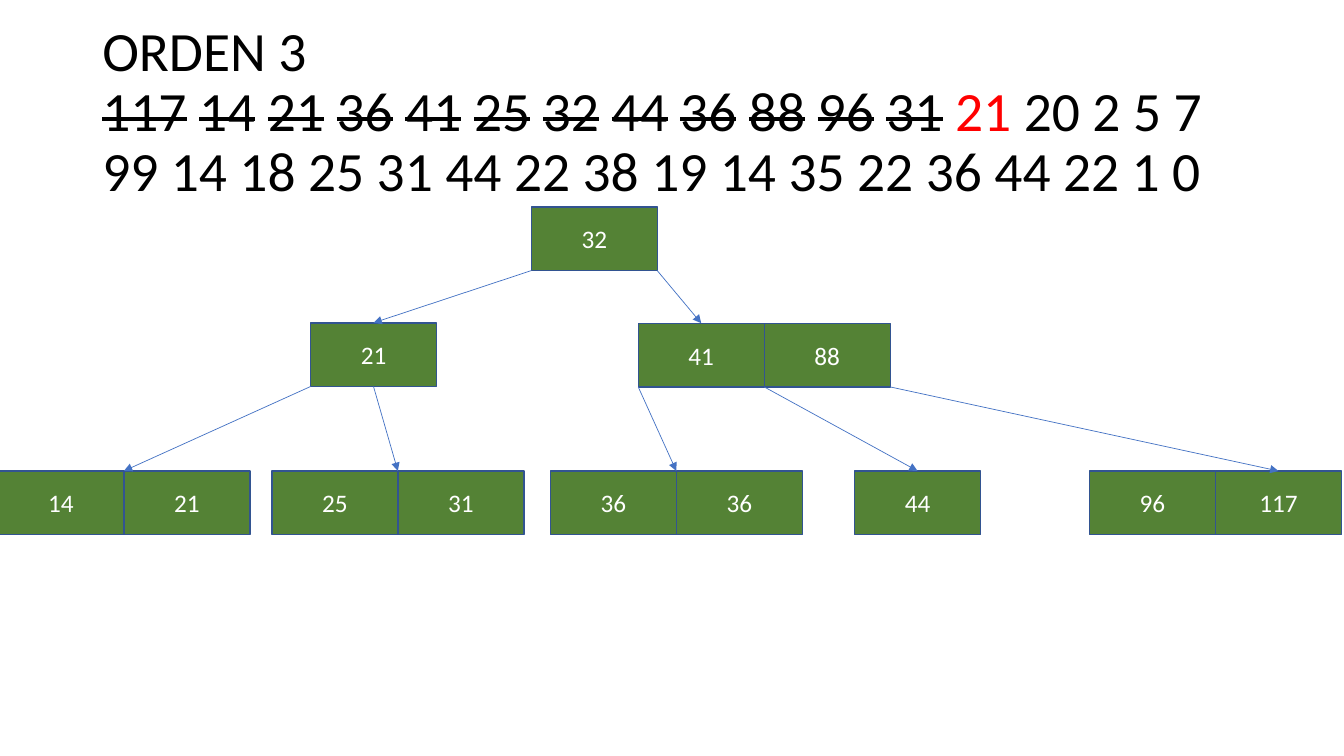
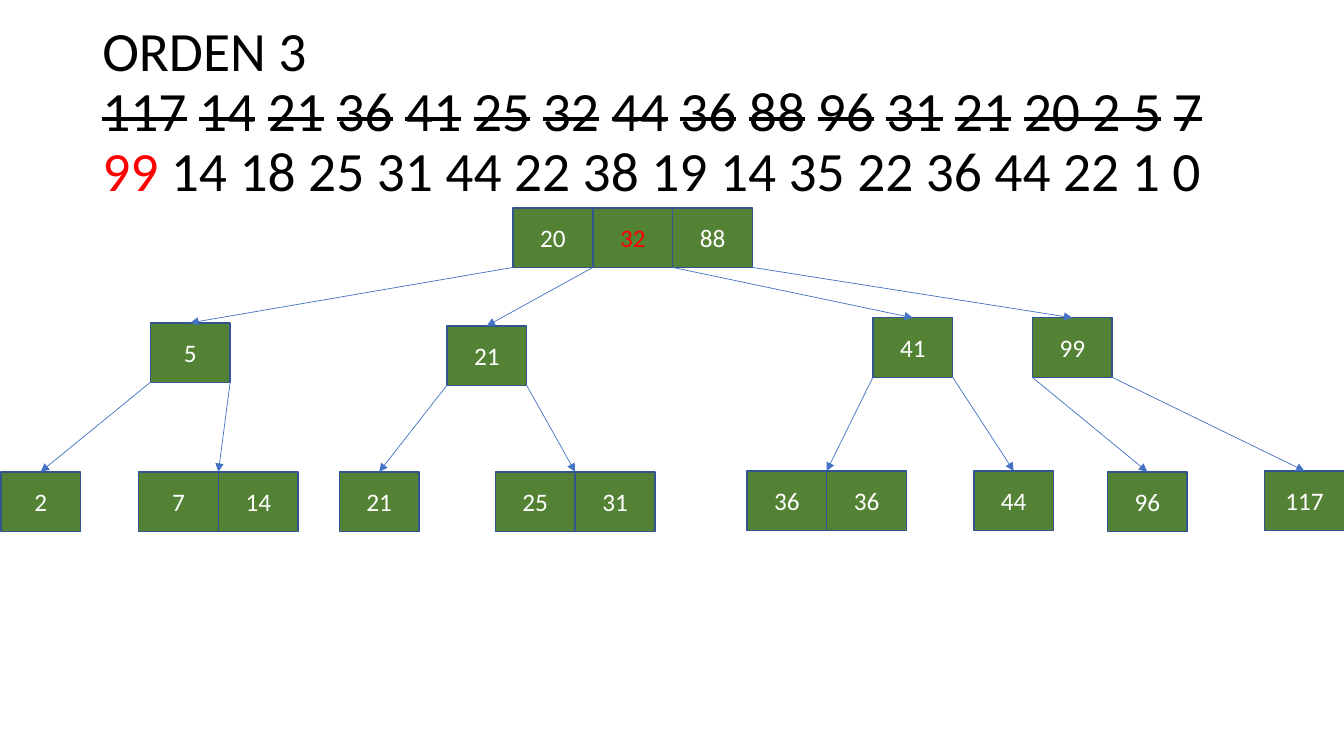
"""Builds two slides that show keys being inserted into a B-tree of order 3."""
from dataclasses import dataclass
from typing import Optional

from lxml.etree import SubElement
from pptx import Presentation
from pptx.dml.color import RGBColor
from pptx.enum.shapes import MSO_CONNECTOR, MSO_SHAPE
from pptx.enum.text import MSO_ANCHOR, PP_ALIGN
from pptx.oxml.ns import qn
from pptx.util import Pt

FONT = "Calibri"
BLACK, RED, WHITE = "000000", "FF0000", "FFFFFF"
GREEN, BORDER, ARROW = "548235", "325491", "4472C4"


@dataclass
class Node:
    left: float
    top: float
    keys: tuple
    children: tuple = ()
    start: Optional[float] = None
    end: Optional[float] = None


INSERTED = ["117", "14", "21", "36", "41", "25", "32", "44", "36", "88", "96", "31"]
LATER = "14 18 25 31 44 22 38 19 14 35 22 36 44 22 1 0"

SLIDES = [
    {
        "done": INSERTED, "current": "21", "rest": "20 2 5 7 99 " + LATER,
        "cell": (90, 45.5), "red": (),
        "root": Node(379.5, 147.8, ("32",), (
            Node(221.8, 230.6, ("21",), (
                Node(-1.5, 336.4, ("14", "21")),
                Node(194.2, 336.4, ("25", "31"), start=0.5),
            )),
            Node(455.9, 230.9, ("41", "88"), (
                Node(393.1, 336.4, ("36", "36")),
                Node(610.4, 336.4, ("44",)),
                Node(778.2, 336.4, ("96", "117"), end=1.5),
            ), end=0.5),
        )),
    },
    {
        "done": INSERTED + ["21", "20 2 5", "7"], "current": "99", "rest": LATER,
        "cell": (57, 42.5), "red": ("32",),
        "root": Node(366.5, 148.5, ("20", "32", "88"), (
            Node(107.4, 230.6, ("5",), (
                Node(0.6, 337, ("2",)),
                Node(99, 337, ("7", "14")),
            )),
            Node(319.2, 232.8, ("21",), (
                Node(242.4, 337, ("21",)),
                Node(353.8, 337, ("25", "31")),
            )),
            Node(623.5, 227, ("41",), (
                Node(533.5, 336.4, ("36", "36")),
                Node(695.6, 336.4, ("44",)),
            )),
            Node(737.4, 227, ("99",), (
                Node(791, 337, ("96",)),
                Node(903.3, 336.4, ("117",)),
            )),
        )),
    },
]


def rgb(value):
    """Turn a hex string into a colour."""
    return RGBColor.from_string(value)


def add_run(p, text, size, color, struck=False):
    """Append one run of text to a paragraph."""
    r = p.add_run()
    r.text = text
    r.font.name, r.font.size = FONT, Pt(size)
    r.font.color.rgb = rgb(color)
    if struck:
        r._r.get_or_add_rPr().set("strike", "sngStrike")


def add_title(s, done, current, rest):
    """Write the order and the key sequence, with inserted keys struck."""
    tf = s.shapes.add_textbox(Pt(66), Pt(28.75), Pt(828), Pt(104.4)).text_frame
    tf.word_wrap = True
    tf.vertical_anchor = MSO_ANCHOR.MIDDLE
    p = tf.paragraphs[0]
    p.line_spacing = 0.9
    add_run(p, "ORDEN 3", 39.6, BLACK)
    p.add_line_break()
    for key in done:
        add_run(p, key, 39.6, BLACK, struck=True)
        add_run(p, " ", 39.6, BLACK)
    add_run(p, current, 39.6, RED)
    add_run(p, " " + rest, 39.6, BLACK)


def add_key(s, key, left, top, cell, color):
    """Draw one key box."""
    sp = s.shapes.add_shape(MSO_SHAPE.RECTANGLE, Pt(left), Pt(top), *map(Pt, cell))
    sp.shadow.inherit = False
    sp.fill.solid()
    sp.fill.fore_color.rgb = rgb(GREEN)
    sp.line.color.rgb = rgb(BORDER)
    sp.line.width = Pt(1)
    tf = sp.text_frame
    tf.vertical_anchor = MSO_ANCHOR.MIDDLE
    p = tf.paragraphs[0]
    p.alignment = PP_ALIGN.CENTER
    add_run(p, key, 18, color)
    return sp


def add_arrow(s, parent, start, boxes, child, end, child_boxes, cell):
    """Draw an arrow between two nodes, at positions counted in key widths."""
    width, height = cell
    line = s.shapes.add_connector(
        MSO_CONNECTOR.STRAIGHT,
        Pt(parent.left + start * width), Pt(parent.top + height),
        Pt(child.left + end * width), Pt(child.top))
    if start % 1 == 0.5:
        line.begin_connect(boxes[int(start)], 2)
    if end % 1 == 0.5:
        line.end_connect(child_boxes[int(end)], 0)
    line.line.color.rgb = rgb(ARROW)
    line.line.width = Pt(0.5)
    SubElement(line.line._get_or_add_ln(), qn("a:tailEnd"), type="triangle")
    SubElement(line._element.spPr, qn("a:effectLst"))


def add_tree(s, node, cell, red):
    """Draw a node and everything below it, and return its key boxes."""
    boxes = [add_key(s, key, node.left + i * cell[0], node.top, cell,
                     RED if key in red else WHITE)
             for i, key in enumerate(node.keys)]
    for i, child in enumerate(node.children):
        child_boxes = add_tree(s, child, cell, red)
        start = i if child.start is None else child.start
        end = len(child.keys) / 2 if child.end is None else child.end
        add_arrow(s, node, start, boxes, child, end, child_boxes, cell)
    return boxes


def main():
    """Build and save the presentation."""
    prs = Presentation()
    prs.slide_width, prs.slide_height = Pt(960), Pt(540)
    for data in SLIDES:
        s = prs.slides.add_slide(prs.slide_layouts[6])
        add_title(s, data["done"], data["current"], data["rest"])
        add_tree(s, data["root"], data["cell"], data["red"])
    prs.save("out.pptx")


if __name__ == "__main__":
    main()
